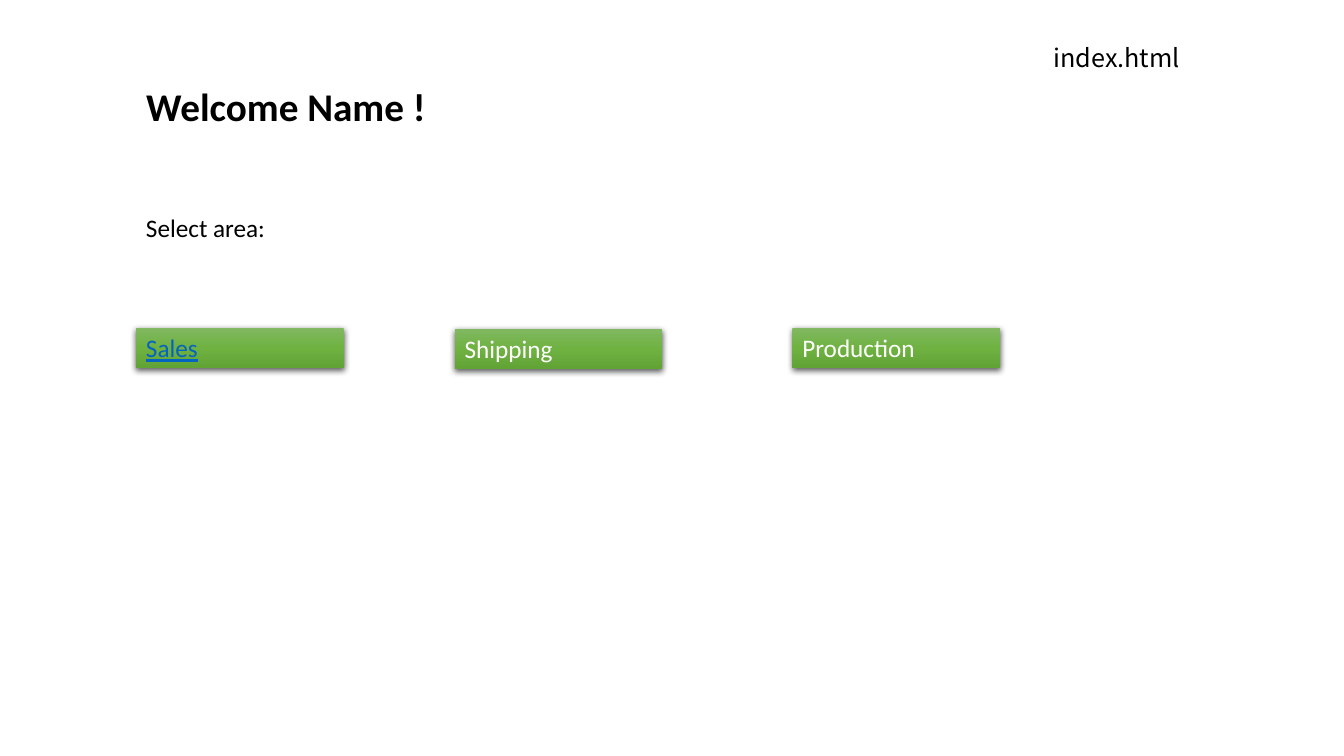
from dataclasses import dataclass

from lxml.etree import SubElement
from pptx import Presentation
from pptx.dml.color import RGBColor as RGB
from pptx.enum.shapes import MSO_SHAPE as SHAPE
from pptx.enum.text import MSO_ANCHOR as ANCHOR, MSO_AUTO_SIZE as AUTO, PP_ALIGN as ALIGN
from pptx.oxml.ns import qn
from pptx.util import Inches, Pt


@dataclass(frozen=True)
class Theme:
    font: str = "Calibri"
    file_font: str = "Noto Sans CJK SC"
    title_size: int = 28
    text_size: int = 18
    ink: str = "000000"
    button_ink: str = "FFFFFF"
    link_ink: str = "0563C1"
    shadow: str = "000000"
    button_stops: tuple = ((0, "81B861"), (50, "6FB242"), (100, "62A336"))


def write(tf, text, *, size, color, font, bold=False, underline=False):
    tf.word_wrap = True
    tf.auto_size = AUTO.SHAPE_TO_FIT_TEXT
    tf.vertical_anchor = ANCHOR.TOP
    p = tf.paragraphs[0]
    p.alignment = ALIGN.LEFT
    r = p.add_run()
    r.text = text
    r.font.name = font
    r.font.size = Pt(size)
    r.font.bold = bold
    r.font.underline = underline
    r.font.color.rgb = RGB.from_string(color)


def add_color(parent, color):
    return SubElement(parent, qn("a:srgbClr"), val=color)


class Page:
    def __init__(self, prs, theme):
        self.theme = theme
        self.s = prs.slides.add_slide(prs.slide_layouts[5])

    def title(self, text, x, y, w, h):
        sp = self.s.shapes.title
        sp.left, sp.top, sp.width, sp.height = map(Inches, (x, y, w, h))
        write(sp.text_frame, text, size=self.theme.title_size,
              color=self.theme.ink, font=self.theme.font, bold=True)

    def label(self, text, x, y, w, h, font=None):
        sp = self.s.shapes.add_textbox(*map(Inches, (x, y, w, h)))
        write(sp.text_frame, text, size=self.theme.text_size,
              color=self.theme.ink, font=font or self.theme.font)

    def button(self, text, x, y, w, h, linked=False):
        t = self.theme
        sp = self.s.shapes.add_shape(SHAPE.RECTANGLE, *map(Inches, (x, y, w, h)))
        sp.line.fill.background()
        self.shade(sp)
        self.drop_shadow(sp)
        write(sp.text_frame, text, size=t.text_size, font=t.font,
              color=t.link_ink if linked else t.button_ink, underline=linked)

    def shade(self, sp):
        """Fill the shape from top to bottom with the button gradient."""
        sp.fill.gradient()
        sp.fill.gradient_angle = 270
        stops = sp.element.spPr.find(".//" + qn("a:gsLst"))
        for stop in list(stops):
            stops.remove(stop)
        for percent, color in self.theme.button_stops:
            add_color(SubElement(stops, qn("a:gs"), pos=str(percent * 1000)), color)

    def drop_shadow(self, sp):
        sp.shadow.inherit = False
        effects = sp.element.spPr.find(qn("a:effectLst"))
        shadow = SubElement(effects, qn("a:outerShdw"), blurRad=str(Pt(4.5)),
                            dist=str(Pt(1.5)), dir="5400000", algn="ctr", rotWithShape="0")
        SubElement(add_color(shadow, self.theme.shadow), qn("a:alpha"), val="63000")


def main():
    prs = Presentation()
    prs.slide_width, prs.slide_height = Inches(13.33), Inches(7.5)
    theme = Theme()
    page = Page(prs, theme)
    left, width, row = 1.35, 10.63, 0.4

    page.title("Welcome Name !", left, 0.77, width, 0.57)
    page.label("Select area:", left, 2.06, width, row)
    page.label("index.html", 10.35, 0.37, 2.54, row, font=theme.file_font)
    for area, x, y in (("Sales", left, 3.25), ("Shipping", 4.51, 3.26), ("Production", 7.86, 3.25)):
        page.button(area, x, y, 2.06, row, linked=area == "Sales")

    prs.save("out.pptx")


if __name__ == "__main__":
    main()
